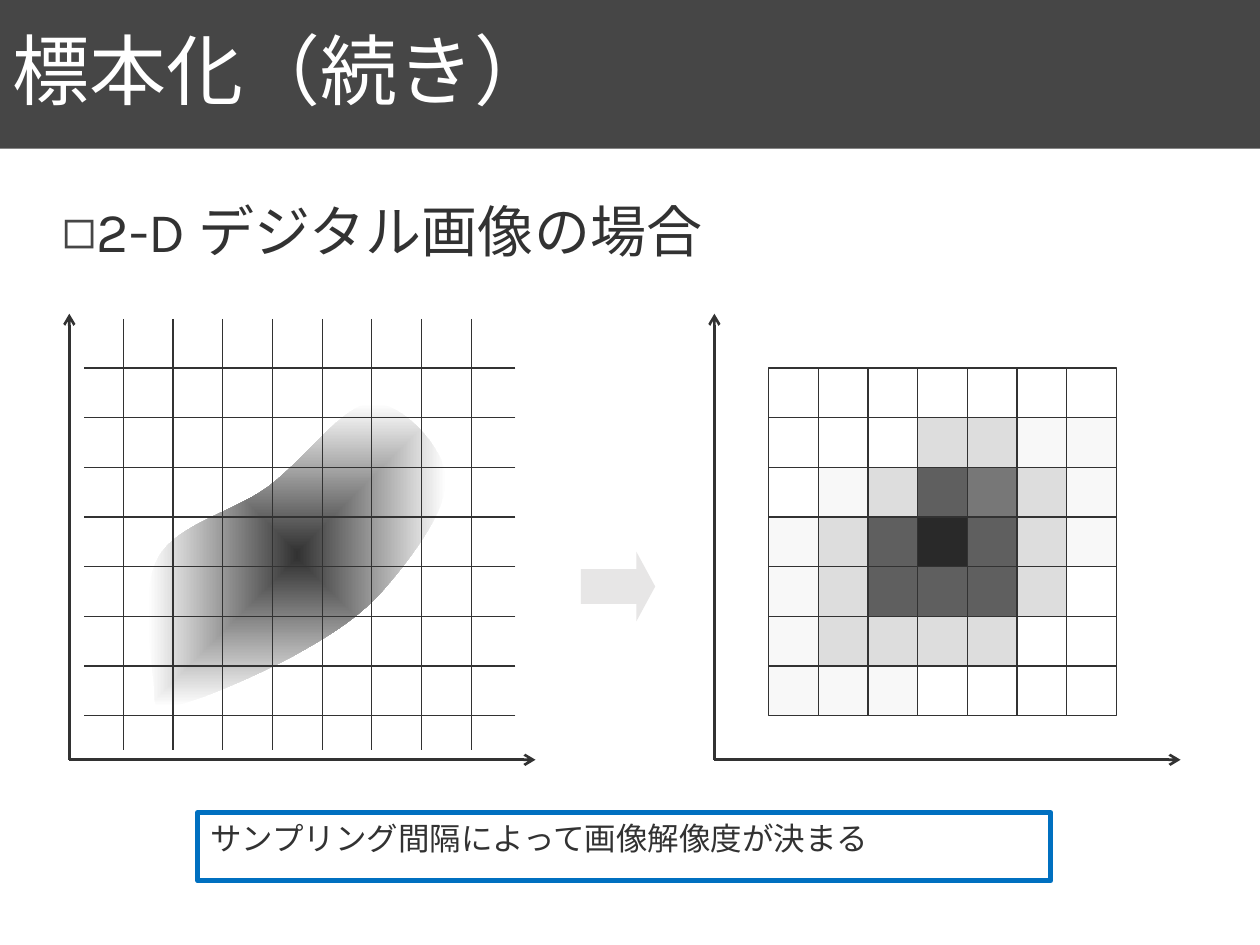
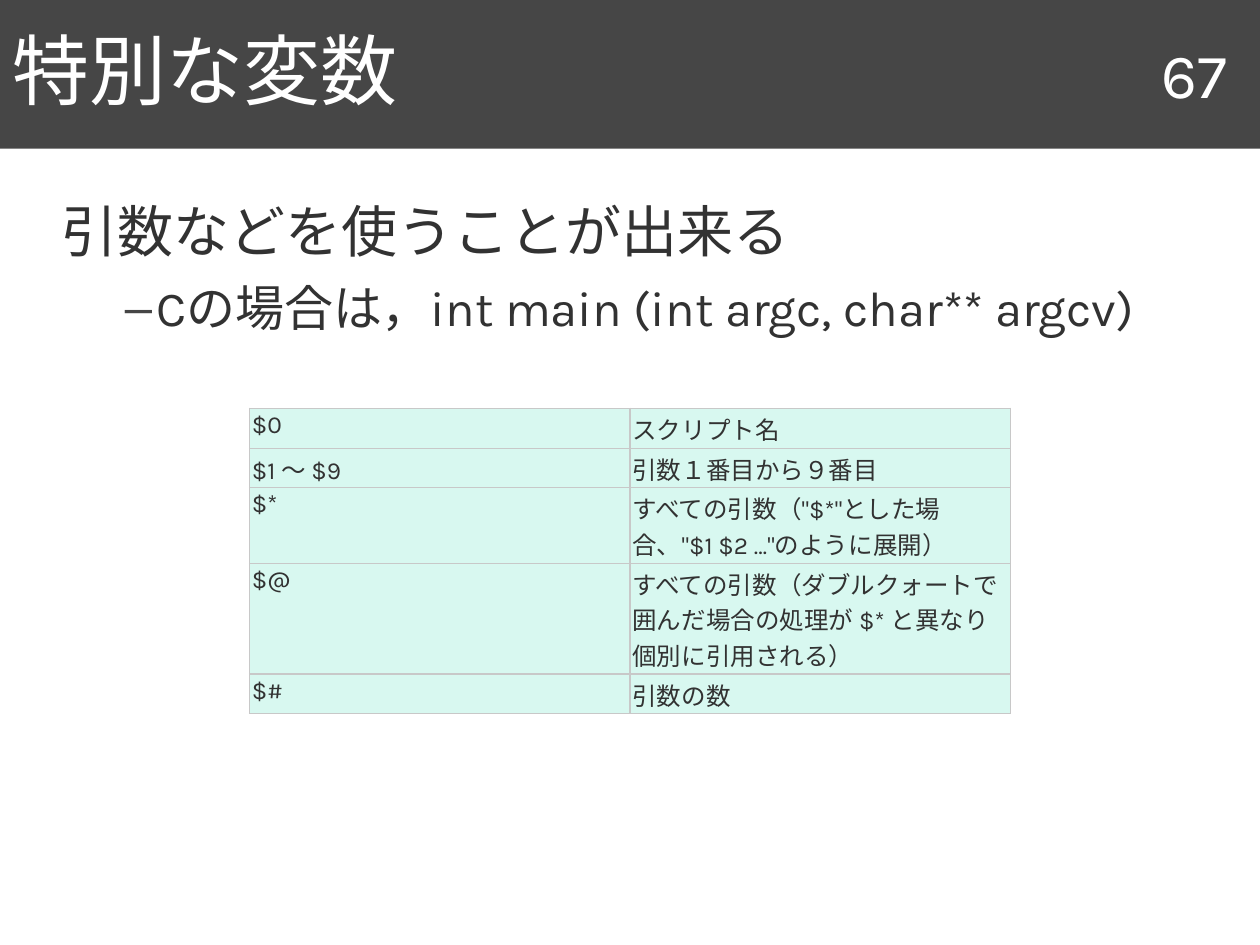
from dataclasses import dataclass

from lxml.etree import SubElement as Sub
from pptx import Presentation
from pptx.dml.color import RGBColor as RGB
from pptx.enum.lang import MSO_LANGUAGE_ID as LANG
from pptx.enum.shapes import MSO_CONNECTOR as LINE, MSO_SHAPE as SHAPE
from pptx.enum.text import MSO_ANCHOR as ANCHOR, MSO_AUTO_SIZE as AUTO, PP_ALIGN as ALIGN
from pptx.oxml.ns import qn
from pptx.util import Inches, Pt


@dataclass(frozen=True)
class Theme:
    band: str = "464646"
    ink: str = "323232"
    white: str = "FFFFFF"
    blue: str = "0070C0"
    arrow: str = "E7E6E6"
    mint: str = "D8F8F0"
    rule: str = "C8C8C8"
    font: str = "Karla"
    plain: str = "Arial"
    head: int = 44
    page: int = 36
    lead: int = 32
    sub: int = 28
    note: int = 18
    cell: int = 14
    thin: float = 0.75
    axis: float = 1.5


T = Theme()

# Sampling grid: 7 by 7 cells, shared by both plots
COUNT = 7
TOP, BASE = 2.92, 5.68
STEP = (BASE - TOP) / COUNT

TONES = {"W": "FFFFFF", "F": "F8F8F8", "D": "DDDDDD",
         "M": "777777", "G": "5F5F5F", "K": "292929"}
PIXELS = ["WWWWWWW",
          "WWWDDFF",
          "WFDGMDF",
          "FDGKGDF",
          "FDGGGDW",
          "FDDDDWW",
          "FFFWWWW"]

# Outline of the object: a start, then two controls and an end per curve
START = (1.22, 5.4)
CURVES = [
    ((1.2, 5.21), (1.11, 4.67), (1.26, 4.42)),
    ((1.41, 4.16), (1.84, 4.07), (2.12, 3.87)),
    ((2.41, 3.66), (2.72, 3.21), (2.95, 3.2)),
    ((3.19, 3.19), (3.52, 3.55), (3.54, 3.79)),
    ((3.56, 4.03), (3.27, 4.42), (3.07, 4.65)),
    ((2.87, 4.89), (2.61, 5.05), (2.32, 5.21)),
    ((2.04, 5.36), (1.56, 5.57), (1.38, 5.6)),
    ((1.19, 5.63), (1.24, 5.6), START),
]

# Table rows: two cells and a height
ROWS = [("$0", "スクリプト名", 0.32),
        ("$1 〜 $9", "引数１番目から９番目", 0.31),
        ("$*", "すべての引数（\"$*\"とした場合、\"$1 $2 …\"のように展開）", 0.6),
        ("$@", "すべての引数（ダブルクォートで囲んだ場合の処理が $* と異なり個別に引用される）", 0.88),
        ("$#", "引数の数", 0.31)]


# Text
def write(para, words, size, color=T.ink, font=T.font, align=ALIGN.LEFT,
          space=None, before=0, after=0):
    para.alignment = align
    para.space_before, para.space_after = Pt(before), Pt(after)
    if space:
        para.line_spacing = space
    run = para.add_run()
    run.text = words
    run.font.size, run.font.name = Pt(size), font
    run.font.language_id = LANG.JAPANESE
    run.font.color.rgb = RGB.from_string(color)


def bullet(para, mark=None, left=0, hang=0):
    props = para._p.get_or_add_pPr()
    props.set("marL", str(Inches(left)))
    props.set("indent", str(-Inches(hang)))
    if mark:
        Sub(Sub(props, qn("a:buClr")), qn("a:srgbClr"), val=T.band)
        Sub(props, qn("a:buChar"), char=mark)
    else:
        Sub(props, qn("a:buNone"))


def place(shape, x, y, w, h):
    shape.left, shape.top = Inches(x), Inches(y)
    shape.width, shape.height = Inches(w), Inches(h)


# Slide frame: title band and body list
def start(deck, title, items):
    slide = deck.slides.add_slide(deck.slide_layouts[1])
    band, body = slide.shapes.title, slide.placeholders[1]
    place(band, 0, 0, 10, 1.18)
    band.fill.solid()
    band.fill.fore_color.rgb = RGB.from_string(T.band)
    band.text_frame.auto_size = AUTO.NONE
    band.text_frame.vertical_anchor = ANCHOR.MIDDLE
    write(band.text_frame.paragraphs[0], title, T.head, T.white, space=0.9)

    place(body, 0.39, 1.57, 9.25, 5.7)
    frame = body.text_frame
    frame.auto_size = AUTO.NONE
    for i, (words, level, mark, left, hang) in enumerate(items):
        para = frame.add_paragraph() if i else frame.paragraphs[0]
        para.level = level
        bullet(para, mark, left, hang)
        write(para, words, T.sub if level else T.lead, space=0.9,
              before=5 if i else 0, after=6)
    return slide


# Drawing
def block(shapes, kind, x, y, w, h, fill=None, line=None, width=T.thin):
    shape = shapes.add_shape(kind, Inches(x), Inches(y), Inches(w), Inches(h))
    shape.shadow.inherit = False
    if fill:
        shape.fill.solid()
        shape.fill.fore_color.rgb = RGB.from_string(fill)
    else:
        shape.fill.background()
    if line:
        shape.line.color.rgb = RGB.from_string(line)
        shape.line.width = Pt(width)
    else:
        shape.line.fill.background()
    return shape


def rule(shapes, x1, y1, x2, y2, width=T.thin, arrow=False):
    line = shapes.add_connector(LINE.STRAIGHT, Inches(x1), Inches(y1),
                                Inches(x2), Inches(y2))
    line.line.color.rgb = RGB.from_string(T.ink)
    line.line.width = Pt(width)
    props = line.element.spPr
    if arrow:
        Sub(props.find(qn("a:ln")), qn("a:tailEnd"), type="arrow")
    Sub(props, qn("a:effectLst"))


def axes(shapes, x):
    rule(shapes, x, 6.03, x, 2.49, T.axis, True)
    rule(shapes, x, 6.03, x + 3.7, 6.03, T.axis, True)


def trace(first, curves, steps=16):
    """Points along a chain of cubic curves, in whole EMU."""
    points = [tuple(map(Inches, first))]
    for ctrl1, ctrl2, last in curves:
        for i in range(1, steps + 1):
            t = i / steps
            u = 1 - t
            points.append(tuple(
                Inches(u**3 * a + 3 * u * u * t * b + 3 * u * t * t * c + t**3 * d)
                for a, b, c, d in zip(first, ctrl1, ctrl2, last)))
        first = last
    return points


def blob(shapes):
    first, *rest = trace(START, CURVES)
    pen = shapes.build_freeform(*first)
    pen.add_line_segments(rest, close=True)
    shape = pen.convert_to_shape()
    shape.shadow.inherit = False
    shape.line.fill.background()
    shape.fill.gradient()
    for stop, color, spot in zip(shape.fill.gradient_stops, (T.ink, T.white), (0, 1)):
        stop.color.rgb, stop.position = RGB.from_string(color), spot
    # Fade outward from the centre
    grad = shape.element.spPr.find(qn("a:gradFill"))
    grad.remove(grad.find(qn("a:lin")))
    fade = Sub(grad, qn("a:path"), path="rect")
    Sub(fade, qn("a:fillToRect"), {side: "50000" for side in "ltrb"})


def mesh(shapes):
    for i in range(COUNT + 1):
        x, y = 0.98 + i * STEP, TOP + i * STEP
        rule(shapes, x, 2.53, x, 5.95)
        rule(shapes, 4.09, y, 0.67, y)


def mosaic(shapes):
    for r, row in enumerate(PIXELS):
        for c, tone in enumerate(row):
            block(shapes, SHAPE.RECTANGLE, 6.1 + c * STEP, TOP + r * STEP,
                  STEP, STEP, TONES[tone], T.ink)


# Table
def edge(cell):
    props = cell._tc.get_or_add_tcPr()
    for side in "LRTB":
        line = Sub(props, qn(f"a:ln{side}"), w=str(Pt(T.thin)))
        Sub(Sub(line, qn("a:solidFill")), qn("a:srgbClr"), val=T.rule)


def grid(shapes):
    tall = sum(row[-1] for row in ROWS)
    table = shapes.add_table(len(ROWS), 2, Inches(1.98), Inches(3.24),
                             Inches(6.04), Inches(tall)).table
    table.first_row = table.horz_banding = False
    for r, (*words, height) in enumerate(ROWS):
        table.rows[r].height = Inches(height)
        for c, word in enumerate(words):
            cell = table.cell(r, c)
            cell.margin_left = cell.margin_right = Inches(0.02)
            cell.margin_top = cell.margin_bottom = Inches(0.02)
            edge(cell)
            cell.fill.solid()
            cell.fill.fore_color.rgb = RGB.from_string(T.mint)
            write(cell.text_frame.paragraphs[0], word, T.cell)


# Slides
def sample(deck):
    slide = start(deck, "標本化（続き）",
                  [("2-D デジタル画像の場合", 0, "◻", 0.25, 0.25)])
    shapes = slide.shapes
    axes(shapes, 0.55)
    blob(shapes)
    arrow = block(shapes, SHAPE.RIGHT_ARROW, 4.61, 4.38, 0.59, 0.55, T.arrow)
    arrow.adjustments[1] = 0.27
    mesh(shapes.add_group_shape().shapes)

    note = block(shapes, SHAPE.RECTANGLE, 1.57, 6.45, 6.77, 0.54,
                 line=T.blue, width=3)
    note.text_frame.word_wrap = True
    note.text_frame.vertical_anchor = ANCHOR.TOP
    write(note.text_frame.paragraphs[0], "サンプリング間隔によって画像解像度が決まる",
          T.note, font=T.plain)

    plot = shapes.add_group_shape().shapes
    axes(plot, 5.67)
    mosaic(plot)


def special(deck):
    slide = start(deck, "特別な変数", [
        ("引数などを使うことが出来る", 0, None, 0, 0),
        ("Cの場合は，int main (int argc, char** argcv)", 1, "–", 0.75, 0.25)])
    page = slide.shapes.add_textbox(Inches(8.66), Inches(0.39),
                                    Inches(1.18), Inches(0.39))
    page.text_frame.word_wrap = True
    page.text_frame.vertical_anchor = ANCHOR.MIDDLE
    write(page.text_frame.paragraphs[0], "67", T.page, T.white, align=ALIGN.RIGHT)
    grid(slide.shapes)


def main():
    deck = Presentation()
    deck.slide_width, deck.slide_height = Inches(10), Inches(7.5)
    sample(deck)
    special(deck)
    deck.save("out.pptx")


if __name__ == "__main__":
    main()
